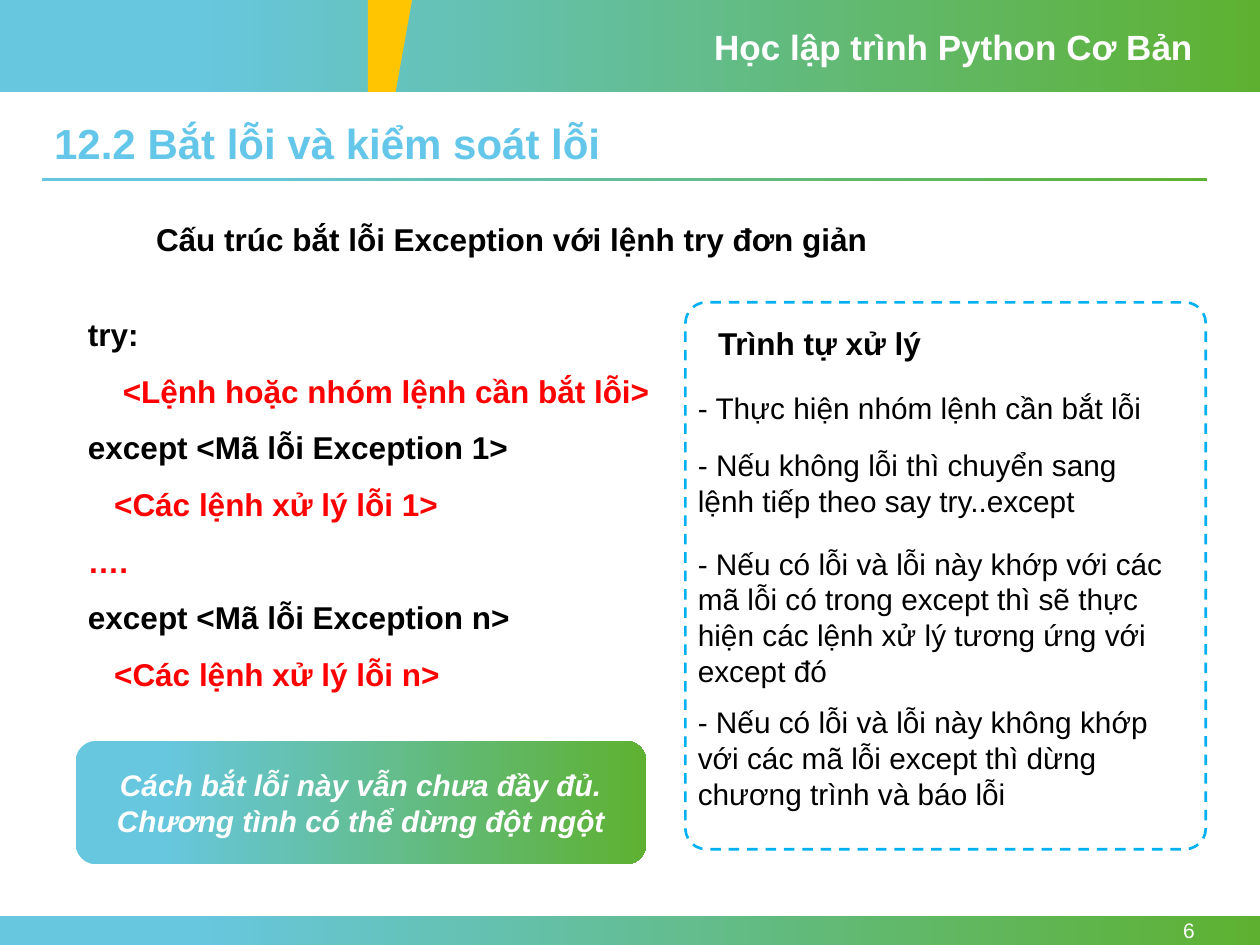
from pptx import Presentation
from pptx.dml.color import RGBColor
from pptx.enum import dml, shapes, text
from pptx.util import Inches, Pt

FONT = "Arial"
BLACK, WHITE, RED = "000000", "FFFFFF", "FF0000"
SKY, GREEN = "67C7DF", "5EB130"
CODE = [
    ("try:", BLACK),
    ("    <Lệnh hoặc nhóm lệnh cần bắt lỗi>", RED),
    ("except <Mã lỗi Exception 1>", BLACK),
    ("   <Các lệnh xử lý lỗi 1>", RED),
    ("….", RED),
    ("except <Mã lỗi Exception n>", BLACK),
    ("   <Các lệnh xử lý lỗi n>", RED),
]
STEPS = [
    (3.04, 3.82, 0.39, "- Thực hiện nhóm lệnh cần bắt lỗi"),
    (3.5, 3.82, 0.67, "- Nếu không lỗi thì chuyển sang lệnh tiếp theo say try..except"),
    (4.28, 4.13, 1.25, "- Nếu có lỗi và lỗi này khớp với các mã lỗi có trong except "
     "thì sẽ thực hiện các lệnh xử lý tương ứng với except đó"),
    (5.54, 4.13, 0.96, "- Nếu có lỗi và lỗi này không khớp với các mã lỗi except "
     "thì dừng chương trình và báo lỗi"),
]


def color(code):
    return RGBColor.from_string(code)


def box(*at):
    return [Inches(n) for n in at]


def style(para, size, code, bold=False, italic=False, align=text.PP_ALIGN.LEFT):
    para.alignment = align
    for run in para.runs:
        font = run.font
        font.name, font.size = FONT, Pt(size)
        font.bold, font.italic = bold, italic
        font.color.rgb = color(code)


def label(slide, at, words, size, code=BLACK, **looks):
    frame = slide.shapes.add_textbox(*box(*at)).text_frame
    frame.word_wrap = True
    frame.text = words
    style(frame.paragraphs[0], size, code, **looks)
    return frame


def panel(slide, kind, at):
    shape = slide.shapes.add_shape(kind, *box(*at))
    shape.shadow.inherit = False
    return shape


def band(slide, at, kind=shapes.MSO_SHAPE.RECTANGLE):
    shape = panel(slide, kind, at)
    shape.line.fill.background()
    shape.fill.gradient()
    shape.fill.gradient_angle = 0
    for stop, place, code in zip(shape.fill.gradient_stops, (0.15, 1), (SKY, GREEN)):
        stop.position = place
        stop.color.rgb = color(code)
    return shape


def wedge(slide):
    points = [(3.27, 0), (3.14, 0.73), (2.92, 0.73)]
    form = slide.shapes.build_freeform(Inches(2.92), 0)
    form.add_line_segments([box(*point) for point in points], close=True)
    shape = form.convert_to_shape()
    shape.shadow.inherit = False
    shape.fill.solid()
    shape.fill.fore_color.rgb = color("FFC500")
    shape.line.fill.background()


def heading(slide, words):
    title = slide.shapes.title
    title.left, title.top, title.width, title.height = box(0.33, 0.93, 9.25, 0.46)
    frame = title.text_frame
    frame.text = words
    frame.word_wrap = True
    frame.auto_size = text.MSO_AUTO_SIZE.NONE
    frame.vertical_anchor = text.MSO_ANCHOR.TOP
    para = frame.paragraphs[0]
    para.line_spacing = 0.9
    style(para, 24, "64C7E9", bold=True)


def code(slide):
    frame = label(slide, (0.6, 2.3, 4.73, 3.28), "\n".join(line for line, _ in CODE), 18)
    for para, (_, tint) in zip(frame.paragraphs, CODE):
        para.line_spacing = 1.5
        style(para, 18, tint, bold=True)


def steps(slide):
    frame = panel(slide, shapes.MSO_SHAPE.ROUNDED_RECTANGLE, (5.44, 2.4, 4.13, 4.34))
    frame.adjustments[0] = 0.04
    frame.fill.solid()
    frame.fill.fore_color.rgb = color(WHITE)
    frame.line.color.rgb = color("00B0F0")
    frame.line.width = Pt(1.5)
    frame.line.dash_style = dml.MSO_LINE.DASH
    label(slide, (5.6, 2.52, 3.82, 0.4), "Trình tự xử lý", 18, bold=True)
    for top, width, height, words in STEPS:
        label(slide, (5.44, top, width, height), words, 17)


def note(slide, words):
    shape = band(slide, (0.6, 5.88, 4.53, 0.98), shapes.MSO_SHAPE.ROUNDED_RECTANGLE)
    frame = shape.text_frame
    frame.text = words
    frame.word_wrap = True
    frame.vertical_anchor = text.MSO_ANCHOR.MIDDLE
    style(frame.paragraphs[0], 17, WHITE, bold=True, italic=True,
          align=text.PP_ALIGN.CENTER)


def main():
    deck = Presentation()
    deck.slide_width, deck.slide_height = box(10, 7.5)
    slide = deck.slides.add_slide(deck.slide_layouts[5])
    for at in [(0, 0, 10, 0.73), (0, 7.27, 10, 0.23), (0.33, 1.41, 9.25, 0.03)]:
        band(slide, at)
    wedge(slide)
    label(slide, (5.57, 0.15, 4, 0.44), "Học lập trình Python Cơ Bản", 20, WHITE, bold=True)
    page = label(slide, (8.66, 7.27, 0.92, 0.23), "6", 12, WHITE, align=text.PP_ALIGN.RIGHT)
    page.vertical_anchor = text.MSO_ANCHOR.MIDDLE
    heading(slide, "12.2 Bắt lỗi và kiểm soát lỗi")
    label(slide, (1.14, 1.7, 7.03, 0.4),
          "Cấu trúc bắt lỗi Exception với lệnh try đơn giản", 18, bold=True)
    code(slide)
    steps(slide)
    note(slide, "Cách bắt lỗi này vẫn chưa đầy đủ. Chương tình có thể dừng đột ngột")
    deck.save("out.pptx")


if __name__ == "__main__":
    main()
